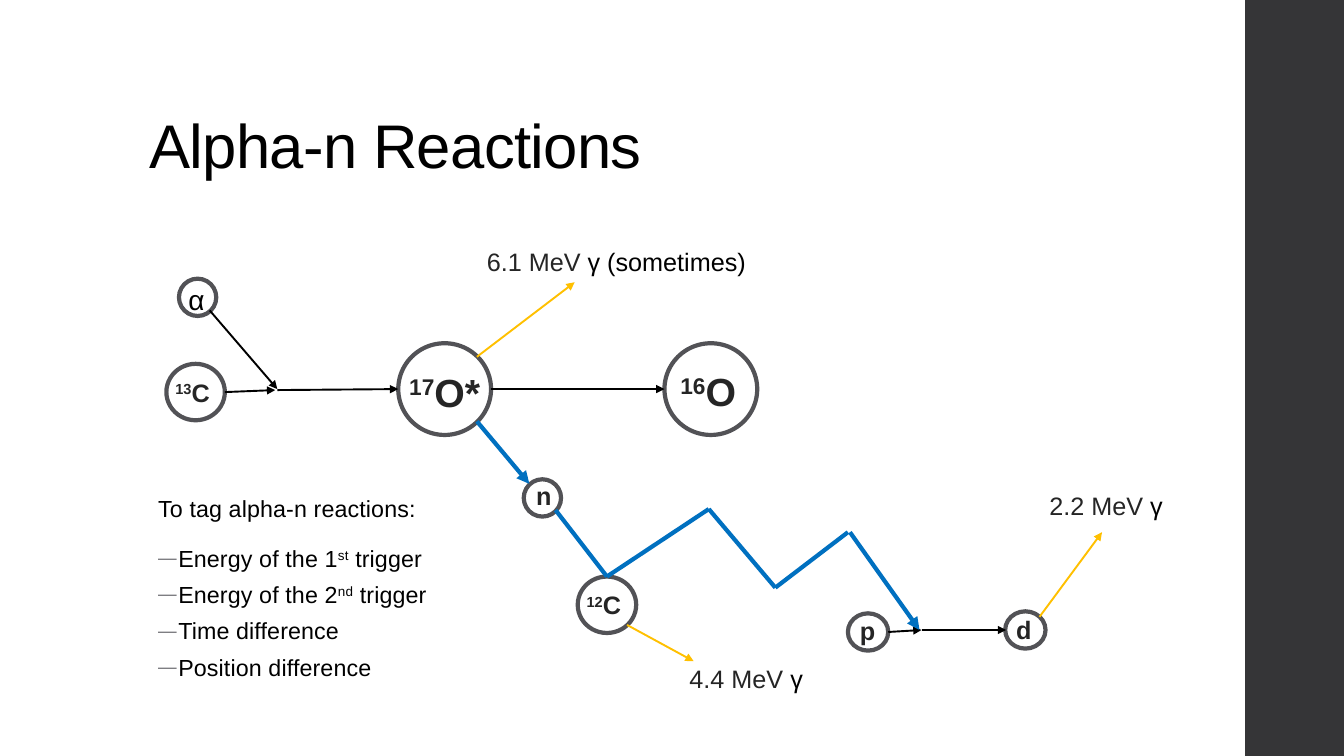
"""Builds a slide that shows how alpha-n reactions unfold and how to tag them."""
from dataclasses import dataclass
from itertools import pairwise

from lxml import etree
from pptx import Presentation
from pptx import util as u
from pptx.dml.color import RGBColor
from pptx.enum import shapes, text
from pptx.oxml.ns import qn


@dataclass(frozen=True)
class Theme:
    font: str = "Arial"
    black: str = "000000"
    ink: str = "252525"
    ring: str = "525256"
    sidebar: str = "353537"
    dash: str = "6F6F74"
    neutron: str = "0070C0"
    gamma: str = "FFC000"
    title: float = 44
    large: float = 28
    alpha: float = 20
    label: float = 18
    body: float = 16.6
    thick: float = 3
    thin: float = 1.35


theme = Theme()
cell = u.Inches(1)


def write(paragraph, words, size, color, bold=False, raised=False, spacing=0):
    run = paragraph.add_run()
    run.text = words
    run.font.name = theme.font
    run.font.size = u.Pt(size)
    run.font.bold = bold
    run.font.color.rgb = RGBColor.from_string(color)
    properties = run._r.get_or_add_rPr()
    if raised:
        properties.set("baseline", "30000")
    if spacing:
        properties.set("spc", str(spacing))


def place_text(left, top, width, height, wrap=False):
    frame = slide.shapes.add_textbox(
        *(int(cells * cell) for cells in (left, top, width, height))).text_frame
    frame.word_wrap = wrap
    return frame


deck = Presentation()
deck.slide_width = int(13.33 * cell)
deck.slide_height = int(7.5 * cell)
slide = deck.slides.add_slide(deck.slide_layouts[5])

sidebar = slide.shapes.add_shape(
    shapes.MSO_SHAPE.RECTANGLE, int(12.35 * cell), 0,
    deck.slide_width - int(12.35 * cell), deck.slide_height)
sidebar.shadow.inherit = False
sidebar.fill.solid()
sidebar.fill.fore_color.rgb = RGBColor.from_string(theme.sidebar)
sidebar.line.fill.background()

heading = slide.shapes.title
heading.left, heading.top = int(1.38 * cell), int(0.4 * cell)
heading.width, heading.height = int(10.6 * cell), int(1.45 * cell)
heading.text_frame.vertical_anchor = text.MSO_ANCHOR.BOTTOM
heading.text_frame.word_wrap = True
heading_line = heading.text_frame.paragraphs[0]
heading_line.alignment = text.PP_ALIGN.LEFT
heading_line.line_spacing = 0.9
write(heading_line, "Alpha-n Reactions", theme.title, theme.black, spacing=-50)

small, oval, medium, big = (0.37, 0.37), (0.4, 0.37), (0.58, 0.56), (0.92, 0.91)
particles = [
    (1.96, 2.95, small, "", "α", theme.alpha, (1.52, 2.75, 0.86, 0.43)),
    (1.94, 3.89, medium, "13", "C", theme.label, (1.64, 3.69, 0.57, 0.4)),
    (4.41, 3.86, big, "17", "O*", theme.large, (3.96, 3.6, 0.95, 0.57)),
    (7.05, 3.86, big, "16", "O", theme.large, (6.65, 3.59, 0.8, 0.57)),
    (5.38, 4.94, small, "", "n", theme.label, (5.22, 4.72, 0.36, 0.4)),
    (6.02, 6.0, medium, "12", "C", theme.label, (5.72, 5.8, 0.57, 0.4)),
    (8.61, 6.27, oval, "", "p", theme.label, (8.43, 6.06, 0.36, 0.4)),
    (10.17, 6.25, oval, "", "d", theme.label, (9.98, 6.05, 0.36, 0.4)),
]
for x, y, (width, height), mass, symbol, size, label_area in particles:
    ring = slide.shapes.add_shape(
        shapes.MSO_SHAPE.OVAL, int((x - width / 2) * cell),
        int((y - height / 2) * cell), int(width * cell), int(height * cell))
    ring.shadow.inherit = False
    ring.fill.background()
    ring.line.color.rgb = RGBColor.from_string(theme.ring)
    ring.line.width = u.Pt(theme.thick)
    name = place_text(*label_area).paragraphs[0]
    is_alpha = symbol == "α"
    if is_alpha:
        name.alignment = text.PP_ALIGN.CENTER
    if mass:
        write(name, mass, size, theme.ink, bold=True, raised=True)
    write(name, symbol, size, theme.black if is_alpha else theme.ink, bold=not is_alpha)

capture = [
    ((2.23, 3.89), (2.73, 3.87)),
    ((2.08, 3.08), (2.75, 3.86)),
    ((2.75, 3.87), (3.95, 3.86)),
    ((4.87, 3.86), (6.59, 3.86)),
    ((8.81, 6.27), (9.14, 6.25)),
    ((9.14, 6.25), (9.98, 6.25)),
]
gammas = [
    ((4.73, 3.54), (5.7, 2.8)),
    ((6.22, 6.2), (6.88, 6.56)),
    ((10.31, 6.12), (10.93, 5.28)),
]
neutron_exits = [((4.73, 4.18), (5.25, 4.8)), ((8.43, 5.28), (9.12, 6.25))]
scatters = [((5.51, 5.06), (6.02, 5.72)),
            *pairwise([(6.02, 5.72), (7.03, 5.05), (7.69, 5.83), (8.41, 5.28)])]
for tracks, color, weight, pointed in [
    (capture, theme.black, theme.thin, True),
    (gammas, theme.gamma, theme.thin, True),
    (neutron_exits, theme.neutron, theme.thick, True),
    (scatters, theme.neutron, theme.thick, False),
]:
    for start, end in tracks:
        track = slide.shapes.add_connector(
            shapes.MSO_CONNECTOR.STRAIGHT, *(int(cells * cell) for cells in start + end))
        track.line.color.rgb = RGBColor.from_string(color)
        track.line.width = u.Pt(weight)
        if pointed:
            etree.SubElement(track.line._get_or_add_ln(), qn("a:tailEnd"), type="triangle")
        etree.SubElement(track._element.spPr, qn("a:effectLst"))

for left, top, width, energy, ray in [
    (4.73, 2.39, 2.85, "6.1 MeV ", "γ (sometimes)"),
    (6.74, 6.53, 1.34, "4.4 MeV ", "γ"),
    (10.31, 4.82, 1.34, "2.2 MeV ", "γ"),
]:
    emission = place_text(left, top, width, 0.4).paragraphs[0]
    write(emission, energy, theme.label, theme.ink)
    write(emission, ray, theme.label, theme.black)

tagging = place_text(1.47, 4.74, 3.05, 2.13, wrap=True)
for index, (spacing, pieces) in enumerate([
    (1.4, ["To tag alpha-n reactions:"]),
    (1.4, ["Energy of the 1", "st", " trigger"]),
    (0.9, ["Energy of the 2", "nd", " trigger"]),
    (0.9, ["Time difference"]),
    (0.9, ["Position difference"]),
]):
    criterion = tagging.add_paragraph() if index else tagging.paragraphs[0]
    criterion.line_spacing = spacing
    criterion.space_before = u.Pt(6 if index else 0)
    criterion.space_after = u.Pt(2)
    if index:
        layout = criterion._p.get_or_add_pPr()
        layout.set("marL", str(int(0.2 * cell)))
        layout.set("indent", str(int(-0.2 * cell)))
        tint = etree.SubElement(layout, qn("a:buClr"))
        etree.SubElement(tint, qn("a:srgbClr"), val=theme.dash)
        etree.SubElement(layout, qn("a:buSzPct"), val="80000")
        etree.SubElement(layout, qn("a:buFont"), typeface=theme.font)
        etree.SubElement(layout, qn("a:buChar"), char="―")
    for piece in pieces:
        write(criterion, piece, theme.body, theme.black,
              raised=piece in ("st", "nd"), spacing=10)

deck.save("out.pptx")
